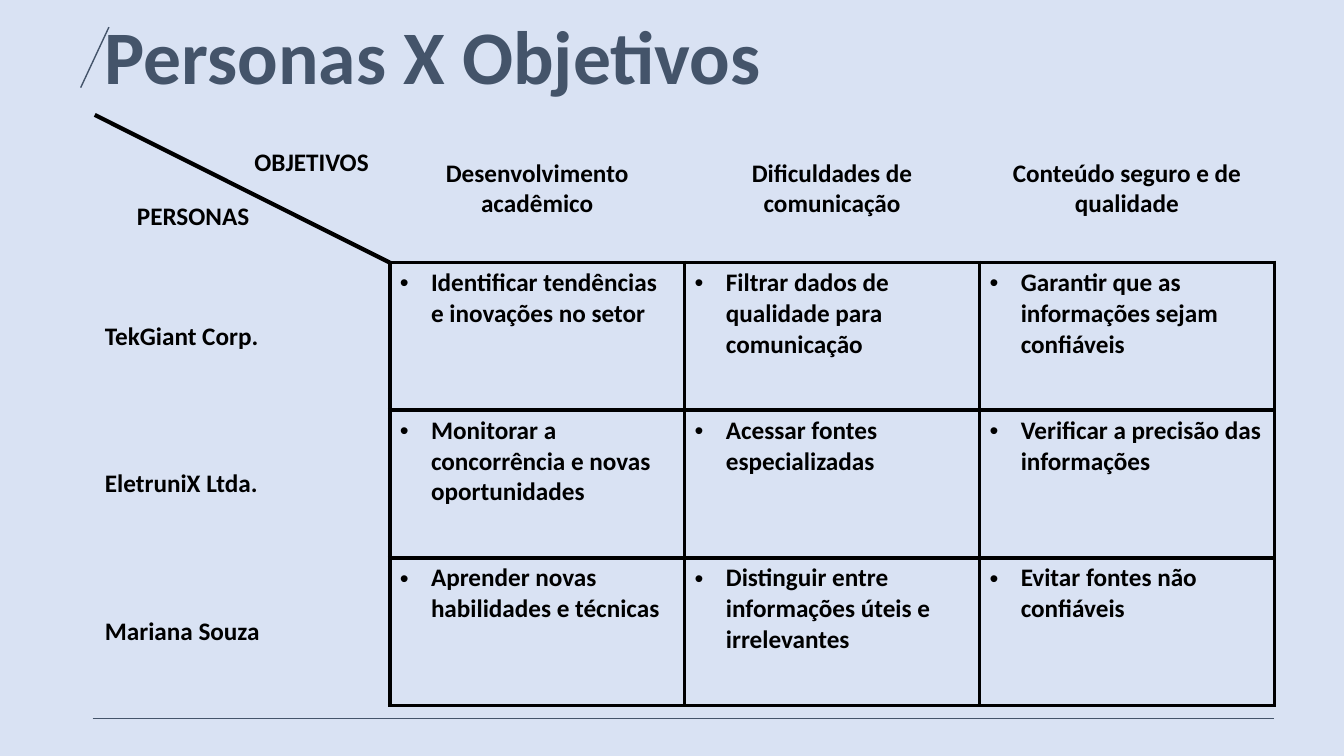
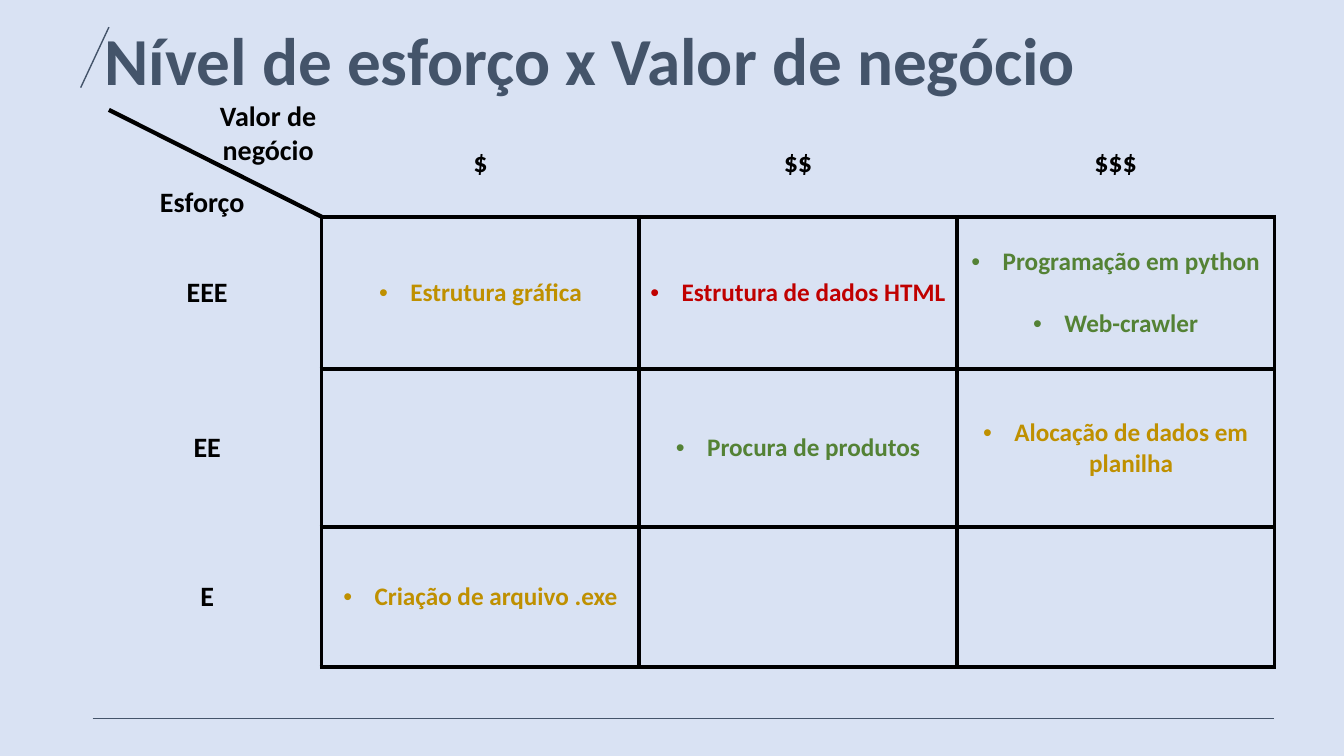
from dataclasses import dataclass
from lxml import etree
from pptx import Presentation
from pptx.dml.color import RGBColor
from pptx.enum.shapes import MSO_CONNECTOR as Connector, MSO_SHAPE as Shape
from pptx.enum.text import MSO_ANCHOR as Anchor, PP_ALIGN as Align
from pptx.oxml.ns import qn
from pptx.util import Inches, Pt


@dataclass(frozen=True)
class Theme:
    font: str = "Calibri"
    tint: str = "4472C4"
    tint_alpha: int = 20000
    slate: str = "44546A"
    black: str = "000000"
    gold: str = "BF9000"
    red: str = "C00000"
    green: str = "548235"
    body_size: int = 18
    frame_line: float = 1
    grid_line: float = 3
    bullet_indent: float = 0.31
    item_gap: int = 22


THEME = Theme()
WIDTH, HEIGHT = 13.33, 7.5
FRAME_LINES = [(1.08, 0.27, 0.8, 0.87), (0.92, 7.13, 12.64, 7.13)]

# Content: each body cell is a list of (text, colour) items
BLACK, GOLD, RED, GREEN = THEME.black, THEME.gold, THEME.red, THEME.green
SLIDES = [
    {
        "title": "Personas X Objetivos",
        "title_box": (0.94, 0.08, 10.51, 0.97), "title_size": 54, "title_anchor": Anchor.BOTTOM,
        "origin": (0.94, 1.14), "columns": [11.7 / 4] * 4, "rows": [5.86 / 4] * 4,
        "diagonal_start": 0.94,
        "heading_size": 18, "row_align": Align.LEFT,
        "body_align": Align.LEFT, "body_anchor": Anchor.TOP,
        "corner_labels": [("OBJETIVOS", (2.38, 1.4, 1.42, 0.4)),
                          ("PERSONAS", (1.21, 1.94, 1.41, 0.4))],
        "headings": ["Desenvolvimento acadêmico", "Dificuldades de comunicação",
                     "Conteúdo seguro e de qualidade"],
        "body": [
            ("TekGiant Corp.", [
                [("Identificar tendências e inovações no setor", BLACK)],
                [("Filtrar dados de qualidade para comunicação", BLACK)],
                [("Garantir que as informações sejam confiáveis", BLACK)]]),
            ("EletruniX Ltda.", [
                [("Monitorar a concorrência e novas oportunidades", BLACK)],
                [("Acessar fontes especializadas", BLACK)],
                [("Verificar a precisão das informações", BLACK)]]),
            ("Mariana Souza", [
                [("Aprender novas habilidades e técnicas", BLACK)],
                [("Distinguir entre informações úteis e irrelevantes", BLACK)],
                [("Evitar fontes não confiáveis", BLACK)]]),
        ],
    },
    {
        "title": "Nível de esforço x Valor de negócio",
        "title_box": (0.94, 0.22, 11.57, 0.82), "title_size": 48, "title_anchor": Anchor.MIDDLE,
        "origin": (0.92, 1.09), "columns": [2.27] + [3.15] * 3, "rows": [1.06, 1.51, 1.57, 1.39],
        "diagonal_start": 1.08,
        "heading_size": 20, "row_align": Align.CENTER,
        "body_align": Align.CENTER, "body_anchor": Anchor.MIDDLE,
        "corner_labels": [("Esforço", (1.43, 1.78, 1.15, 0.44)),
                          ("Valor de negócio", (2.01, 0.93, 1.3, 0.77))],
        "headings": ["$", "$$", "$$$"],
        "body": [
            ("EEE", [[("Estrutura gráfica", GOLD)],
                     [("Estrutura de dados HTML", RED)],
                     [("Programação em python", GREEN), ("Web-crawler", GREEN)]]),
            ("EE", [[],
                    [("Procura de produtos", GREEN)],
                    [("Alocação de dados em planilha", GOLD)]]),
            ("E", [[("Criação de arquivo .exe", GOLD)], [], []]),
        ],
    },
]


def set_all(target, values):
    for name, value in values.items():
        setattr(target, name, value)


def inches(values):
    return [Inches(value) for value in values]


# Text
def write(paragraph, text, size, color=BLACK, align=Align.LEFT):
    paragraph.alignment = align
    run = paragraph.add_run()
    run.text = text
    set_all(run.font, {"name": THEME.font, "size": Pt(size), "bold": True})
    run.font.color.rgb = RGBColor.from_string(color)


def add_bullet(paragraph):
    properties = paragraph._p.get_or_add_pPr()
    indent = Inches(THEME.bullet_indent)
    properties.set("marL", str(indent))
    properties.set("indent", str(-indent))
    etree.SubElement(properties, qn("a:buFont")).set("typeface", "Arial")
    etree.SubElement(properties, qn("a:buChar")).set("char", "•")


def add_text(slide, box, text, size, color=BLACK, align=Align.CENTER, anchor=Anchor.MIDDLE):
    frame = slide.shapes.add_textbox(*inches(box)).text_frame
    set_all(frame, {"word_wrap": True, "vertical_anchor": anchor})
    write(frame.paragraphs[0], text, size, color, align)
    return frame


# Lines and shared frame
def add_line(slide, ends, color, width):
    line = slide.shapes.add_connector(Connector.STRAIGHT, *inches(ends))
    line.line.color.rgb = RGBColor.from_string(color)
    line.line.width = Pt(width)
    etree.SubElement(line._element.spPr, qn("a:effectLst"))


def add_frame(slide, content):
    tint = slide.shapes.add_shape(Shape.RECTANGLE, *inches((0, 0, WIDTH, HEIGHT)))
    tint.shadow.inherit = False
    tint.line.fill.background()
    tint.fill.solid()
    tint.fill.fore_color.rgb = RGBColor.from_string(THEME.tint)
    color = tint._element.spPr.find(".//" + qn("a:srgbClr"))
    etree.SubElement(color, qn("a:alpha")).set("val", str(THEME.tint_alpha))
    title = add_text(slide, content["title_box"], content["title"], content["title_size"],
                     THEME.slate, Align.LEFT, content["title_anchor"])
    title.paragraphs[0].line_spacing = 0.9
    for ends in FRAME_LINES:
        add_line(slide, ends, THEME.slate, THEME.frame_line)


# Matrix
def set_borders(cell, row, column):
    """Draw only the edges that touch a body cell."""
    in_body = row > 0 and column > 0
    drawn = {"a:lnL": in_body, "a:lnR": row > 0, "a:lnT": in_body, "a:lnB": column > 0}
    properties = cell._tc.get_or_add_tcPr()
    for position, (tag, visible) in enumerate(drawn.items()):
        border = etree.Element(qn(tag), w=str(Pt(THEME.grid_line)))
        if visible:
            fill = etree.SubElement(border, qn("a:solidFill"))
            etree.SubElement(fill, qn("a:srgbClr")).set("val", BLACK)
        else:
            etree.SubElement(border, qn("a:noFill"))
        properties.insert(position, border)


def fill_body_cell(cell, items, content):
    cell.vertical_anchor = content["body_anchor"]
    frame = cell.text_frame
    for index, (text, color) in enumerate(items):
        paragraph = frame.add_paragraph() if index else frame.paragraphs[0]
        write(paragraph, text, THEME.body_size, color, content["body_align"])
        if index < len(items) - 1:
            paragraph.space_after = Pt(THEME.item_gap)
        add_bullet(paragraph)


def fill_heading(cell, text, size, align):
    cell.vertical_anchor = Anchor.MIDDLE
    write(cell.text_frame.paragraphs[0], text, size, align=align)


def add_matrix(slide, content):
    left, top = content["origin"]
    columns, rows = content["columns"], content["rows"]
    size = content["heading_size"]
    table = slide.shapes.add_table(len(rows), len(columns),
                                   *inches((left, top, sum(columns), sum(rows)))).table
    set_all(table, {"first_row": False, "horz_banding": False})
    for column, width in zip(table.columns, columns):
        column.width = Inches(width)
    for row, height in zip(table.rows, rows):
        row.height = Inches(height)
    for row in range(len(rows)):
        for column in range(len(columns)):
            cell = table.cell(row, column)
            cell.fill.background()
            set_borders(cell, row, column)

    for column, heading in enumerate(content["headings"], 1):
        fill_heading(table.cell(0, column), heading, size, Align.CENTER)
    for row, (label, cells) in enumerate(content["body"], 1):
        fill_heading(table.cell(row, 0), label, size, content["row_align"])
        for column, items in enumerate(cells, 1):
            fill_body_cell(table.cell(row, column), items, content)

    # Split corner, ending where the body begins
    corner = (left + columns[0], top + rows[0])
    add_line(slide, (content["diagonal_start"], top, *corner), BLACK, THEME.grid_line)
    for label, box in content["corner_labels"]:
        add_text(slide, box, label, size)


def main():
    presentation = Presentation()
    set_all(presentation, {"slide_width": Inches(WIDTH), "slide_height": Inches(HEIGHT)})
    for content in SLIDES:
        slide = presentation.slides.add_slide(presentation.slide_layouts[6])
        add_frame(slide, content)
        add_matrix(slide, content)
    presentation.save("out.pptx")


if __name__ == "__main__":
    main()
